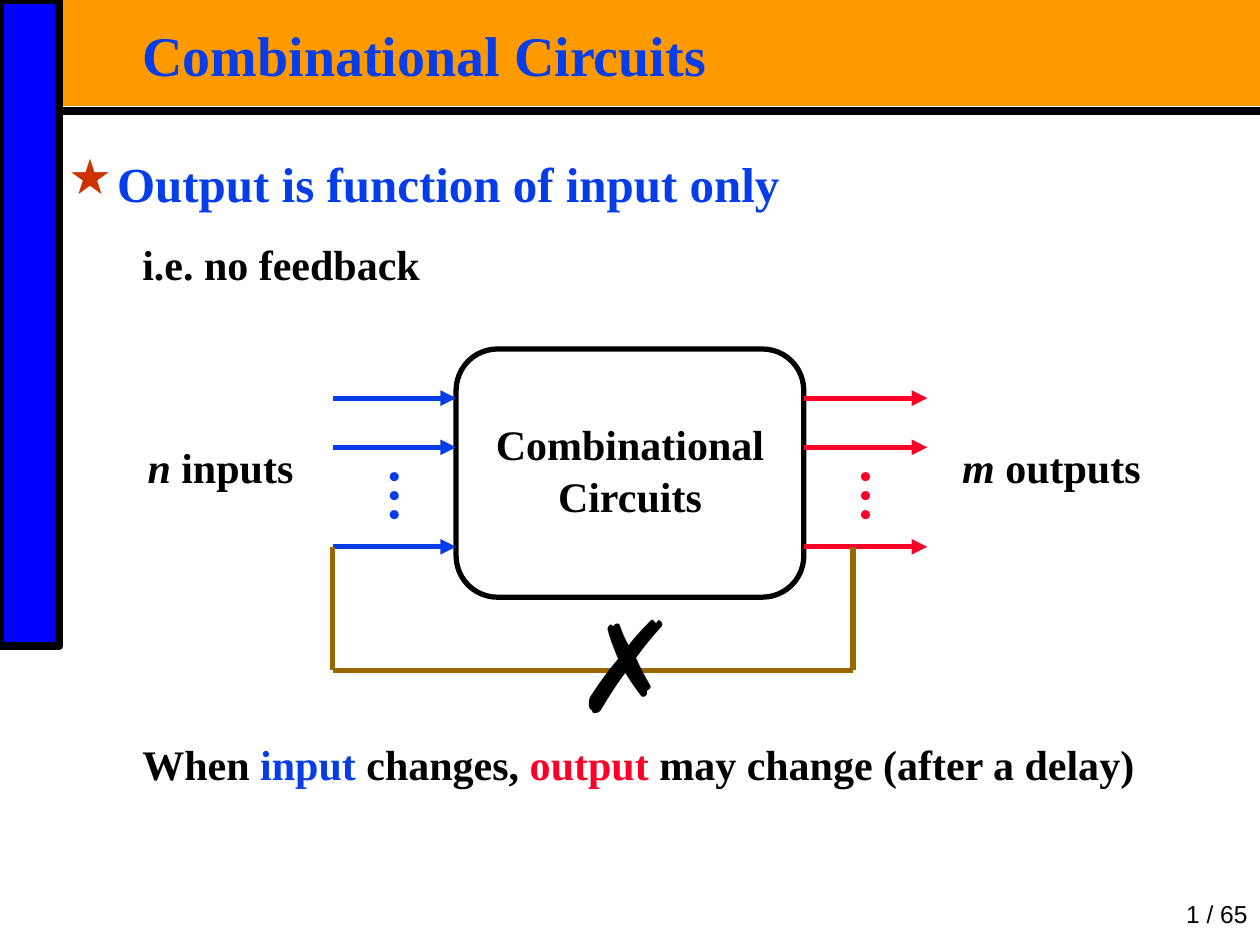
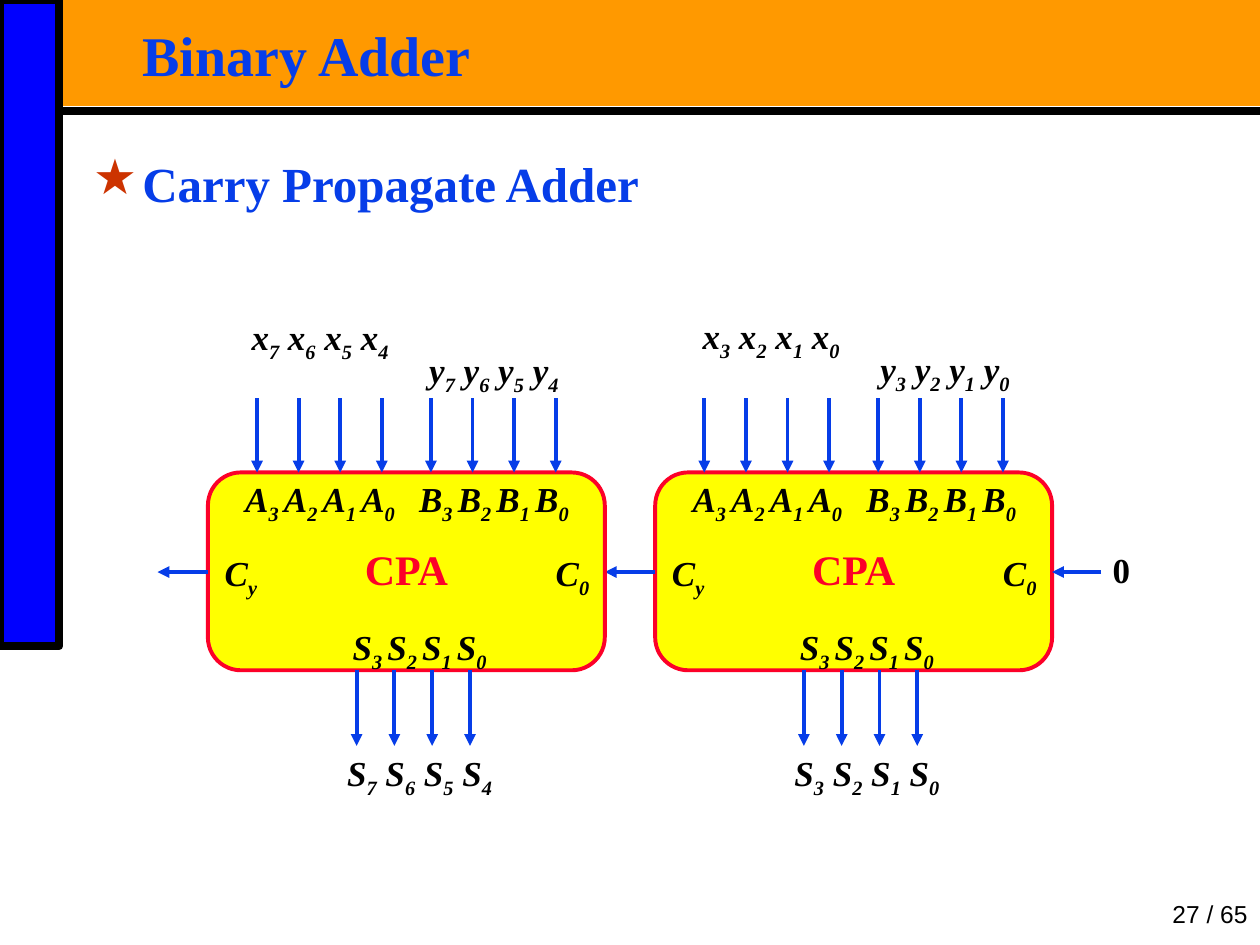
from lxml.etree import SubElement
from pptx import Presentation
from pptx.dml.color import RGBColor
from pptx.enum.shapes import MSO_CONNECTOR, MSO_SHAPE
from pptx.enum.text import MSO_ANCHOR, MSO_AUTO_SIZE, PP_ALIGN
from pptx.oxml.ns import qn
from pptx.util import Inches, Pt

COLORS = {
    "band": "FF9900", "sidebar": "0000FF", "black": "000000", "blue": "063DE8",
    "red": "FC0128", "star": "CC3300", "feedback": "996600", "block": "FFFF00",
}
COLORS = {name: RGBColor.from_string(value) for name, value in COLORS.items()}
SERIF, SANS = "Times New Roman", "Arial"
LEFT, CENTER, RIGHT = PP_ALIGN.LEFT, PP_ALIGN.CENTER, PP_ALIGN.RIGHT


def write(shape, lines, size, color="black", align=CENTER, spacing=1.0, before=0,
          font=SERIF, bold=True, italic=None, inset=(0, 0), anchor=MSO_ANCHOR.TOP, star=False):
    """Each line is a string or a list of (text, style) runs."""
    frame = shape.text_frame
    frame.word_wrap = True
    frame.auto_size = MSO_AUTO_SIZE.NONE
    frame.vertical_anchor = anchor
    frame.margin_left = frame.margin_right = Inches(inset[0])
    frame.margin_top = frame.margin_bottom = Inches(inset[1])
    for number, line in enumerate(lines):
        paragraph = frame.add_paragraph() if number else frame.paragraphs[0]
        paragraph.alignment = align
        paragraph.line_spacing = spacing
        paragraph.space_before = Pt(before if number else 0)
        if star:
            properties = paragraph._p.get_or_add_pPr()
            properties.set("marL", str(Inches(0.39)))
            properties.set("indent", str(-Inches(0.39)))
            bullet_color = SubElement(properties, qn("a:buClr"))
            SubElement(bullet_color, qn("a:srgbClr"), val=str(COLORS["star"]))
            SubElement(properties, qn("a:buChar"), char="★")
        paragraph.font.name = font
        paragraph.font.size = Pt(size)
        paragraph.font.bold = bold
        paragraph.font.italic = italic
        paragraph.font.color.rgb = COLORS[color]
        for text, style in [(line, {})] if isinstance(line, str) else line:
            run = paragraph.add_run()
            run.text = text
            if "color" in style:
                run.font.color.rgb = COLORS[style["color"]]
            if "italic" in style:
                run.font.italic = True
            if "sub" in style:
                run._r.get_or_add_rPr().set("baseline", "-25000")


def add_line(slide, start, end, color, width, arrow=False):
    points = map(Inches, (*start, *end))
    line = slide.shapes.add_connector(MSO_CONNECTOR.STRAIGHT, *points)
    line.line.color.rgb = COLORS[color]
    line.line.width = Pt(width)
    if arrow:
        SubElement(line.line._get_or_add_ln(), qn("a:tailEnd"), type="triangle")
    SubElement(line._element.spPr, qn("a:effectLst"))


presentation = Presentation()
presentation.slide_width = Inches(10)
presentation.slide_height = Inches(7.5)

# Shared frame: band, sidebar, rule, page number, title, starred heading
pages = [
    ("Combinational Circuits", "1 / 65", "Output is function of input only", 0.47),
    ("Binary Adder", "27 / 65", "Carry Propagate Adder", 0.67),
]
slides = []
for title_text, page_number, heading_text, heading_left in pages:
    slide = presentation.slides.add_slide(presentation.slide_layouts[5])
    slides.append(slide)
    for box, color in (((0.47, 0, 9.53, 0.84), "band"), ((0, 0, 0.47, 5.13), "sidebar")):
        band = slide.shapes.add_shape(MSO_SHAPE.RECTANGLE, *map(Inches, box))
        band.shadow.inherit = False
        band.fill.solid()
        band.fill.fore_color.rgb = COLORS[color]
        if color == "band":
            band.line.fill.background()
        else:
            band.line.color.rgb = COLORS["black"]
            band.line.width = Pt(4.5)
    add_line(slide, (0.47, 0.88), (10, 0.88), "black", 4.5)

    footer = slide.shapes.add_textbox(*map(Inches, (8.69, 7.1, 1.31, 0.32)))
    write(footer, [page_number], 14, align=RIGHT, font=SANS, bold=False,
          inset=(0.1, 0.05), anchor=MSO_ANCHOR.BOTTOM)

    title = slide.shapes.title
    title.left, title.top, title.width, title.height = map(Inches, (1.06, 0.21, 8.66, 0.52))
    write(title, [title_text], 32, "blue", LEFT, 0.87, inset=(0.07, 0.03),
          anchor=MSO_ANCHOR.MIDDLE)
    slide.shapes._spTree.append(title._element)  # in front of the band

    heading = slide.shapes.add_textbox(*map(Inches, (heading_left, 1.19, 9.06, 0.52)))
    write(heading, [heading_text], 28, "blue", LEFT, inset=(0.07, 0.03), star=True)

circuits, adder = slides

# Slide 1: statements
statements = [
    (1.86, [("i.e. no feedback", {})]),
    (5.83, [("When ", {}), ("input", {"color": "blue"}), (" changes, ", {}),
            ("output", {"color": "red"}), (" may change (after a delay)", {})]),
]
for top, runs in statements:
    statement = circuits.shapes.add_textbox(*map(Inches, (1.06, top, 8.47, 0.46)))
    write(statement, [runs], 24, align=LEFT, inset=(0.07, 0.03))

# Slide 1: circuit block
circuit = circuits.shapes.add_shape(
    MSO_SHAPE.ROUNDED_RECTANGLE, *map(Inches, (3.62, 2.77, 2.76, 1.97)))
circuit.shadow.inherit = False
circuit.fill.background()
circuit.line.color.rgb = COLORS["black"]
circuit.line.width = Pt(3)
write(circuit, ["Combinational", "Circuits"], 24, spacing=0.9, before=3.6,
      anchor=MSO_ANCHOR.MIDDLE)

# Slide 1: inputs and outputs
ports = [
    (2.64, "blue", "n", " inputs", 1.06, 1.38),
    (6.38, "red", "m", " outputs", 7.56, 1.57),
]
for left, color, count, noun, label_left, label_width in ports:
    for y in (3.16, 3.55, 4.34):
        add_line(circuits, (left, y), (left + 0.98, y), color, 3, arrow=True)
    dots = circuits.shapes.add_textbox(*map(Inches, (left + 0.39, 3.75, 0.2, 0.45)))
    write(dots, ["•"] * 3, 18, color, spacing=0.5, font=SANS)
    label = circuits.shapes.add_textbox(*map(Inches, (label_left, 3.55, label_width, 0.36)))
    write(label, [[(count, {"italic": True}), (noun, {})]], 24, spacing=0.9)

# Slide 1: crossed-out feedback path
feedback = [(6.77, 4.34), (6.77, 5.32), (2.64, 5.32), (2.64, 4.34)]
for start, end in zip(feedback, feedback[1:]):
    add_line(circuits, start, end, "feedback", 3)
cross = circuits.shapes.add_textbox(*map(Inches, (4.49, 4.79, 0.98, 1.08)))
write(cross, ["✗"], 72, spacing=0.9, font=SANS)

# Slide 2: two chained four-bit adders, given by left edge, highest bit and operand place
for left, high_bit, operand_left, operand_top in ((5.2, 3, 5.43, 2.44), (1.65, 7, 1.85, 2.45)):
    block = adder.shapes.add_shape(
        MSO_SHAPE.ROUNDED_RECTANGLE, *map(Inches, (left, 3.75, 3.15, 1.57)))
    block.shadow.inherit = False
    block.fill.solid()
    block.fill.fore_color.rgb = COLORS["block"]
    block.line.color.rgb = COLORS["red"]
    block.line.width = Pt(2.25)
    write(block, ["CPA"], 24, "red", spacing=0.9, anchor=MSO_ANCHOR.MIDDLE)

    # Bit names: pins inside the block have narrow gaps, signals outside wide ones
    bit_names = [
        ("A", 3, left + 0.2, 3.75, 1.1), ("B", 3, left + 1.58, 3.75, 1.1),
        ("S", 3, left + 0.99, 4.93, 1.1),
        ("x", high_bit, operand_left, operand_top, 1.15),
        ("y", high_bit, operand_left + 1.38, operand_top + 0.26, 1.15),
        ("S", high_bit, left + 0.99, 5.91, 1.15),
    ]
    for letter, top_bit, x, y, spacing in bit_names:
        runs = []
        for bit in range(top_bit, top_bit - 4, -1):
            gap = "" if bit == top_bit - 3 else " "
            if spacing == 1.1:
                runs += [(letter, {}), (f"{bit}{gap}", {"sub": True})]
            else:
                runs += [(letter, {}), (str(bit), {"sub": True}), (gap, {})]
        bits = adder.shapes.add_textbox(*map(Inches, (x, y, 1.38, 0.38)))
        write(bits, [[run for run in runs if run[0]]], 20, spacing=spacing, italic=True)

    # Carry pins
    for index, x, align in (("0", left + 2.76, LEFT), ("y", left, RIGHT)):
        carry = adder.shapes.add_textbox(*map(Inches, (x, 4.34, 0.39, 0.37)))
        write(carry, [[("C", {}), (index, {"sub": True})]], 20, align=align,
              spacing=1.1, italic=True)

    # Arrows for operands, sum and carry out
    for first, step, top, bottom in ((0.39, 0.33, 3.16, 3.75), (1.77, 0.33, 3.16, 3.75),
                                     (1.18, 0.3, 5.32, 5.92)):
        for place in range(4):
            x = left + first + step * place
            add_line(adder, (x, top), (x, bottom), "blue", 2.25, arrow=True)
    add_line(adder, (left, 4.54), (left - 0.4, 4.54), "blue", 2.25, arrow=True)

# Slide 2: carry in
add_line(adder, (8.74, 4.54), (8.35, 4.54), "blue", 2.25, arrow=True)
carry_in = adder.shapes.add_textbox(*map(Inches, (8.74, 4.3, 0.32, 0.38)))
write(carry_in, ["0"], 20, spacing=1.15)

presentation.save("out.pptx")
